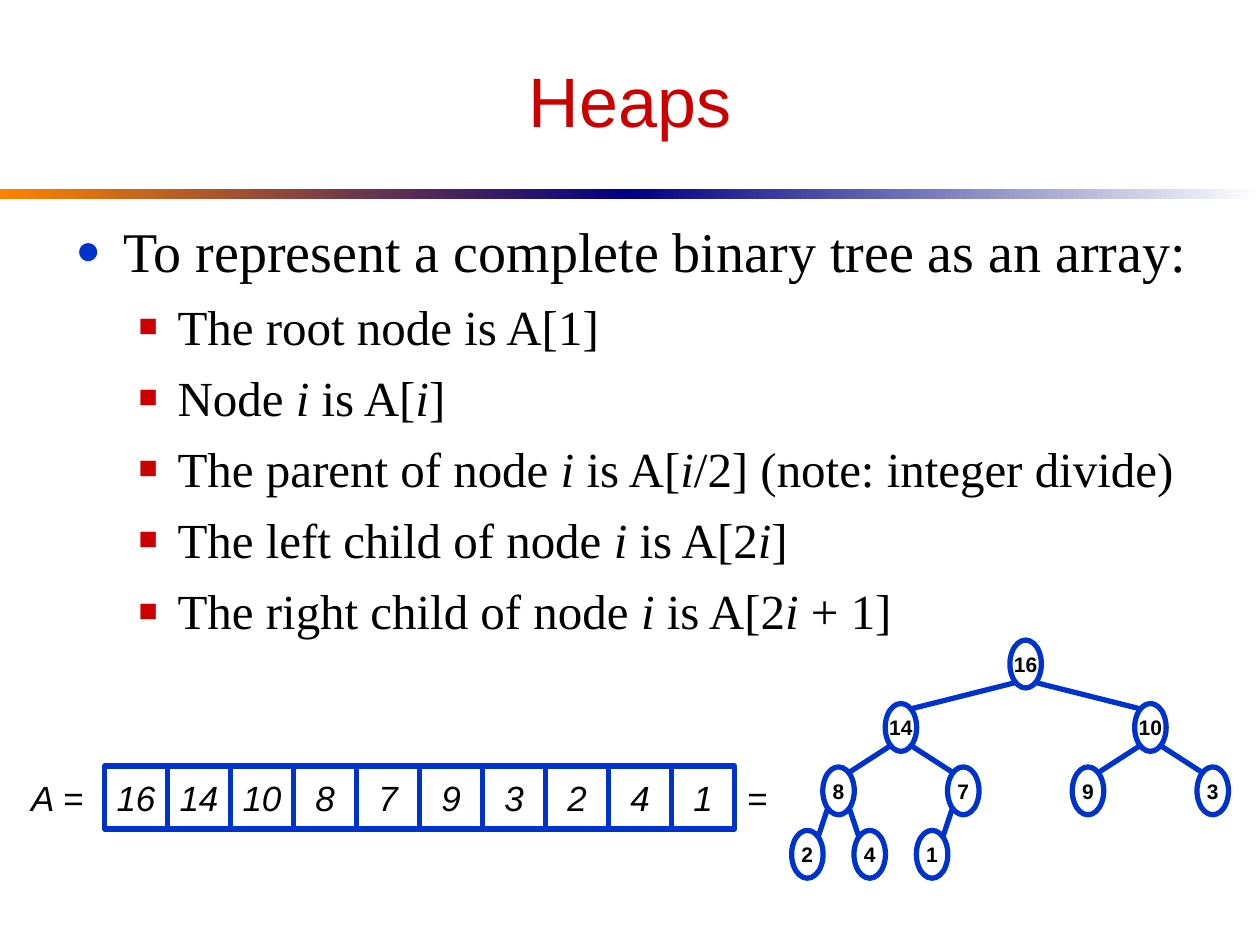
from dataclasses import dataclass
from typing import Any

from lxml.etree import SubElement
from pptx import Presentation
from pptx.dml.color import RGBColor
from pptx.enum.shapes import MSO_CONNECTOR as Connector, MSO_SHAPE as Preset
from pptx.enum.text import MSO_ANCHOR as Anchor, PP_ALIGN as Align
from pptx.oxml.ns import qn
from pptx.util import Inches, Pt

BLUE = RGBColor(0x00, 0x33, 0xCC)
RED = RGBColor(0xCC, 0x00, 0x00)
BLACK = RGBColor(0x00, 0x00, 0x00)
WHITE = RGBColor(0xFF, 0xFF, 0xFF)
ORANGE = RGBColor(0xFF, 0x82, 0x00)
NAVY = RGBColor(0x00, 0x00, 0x82)

HEAP = [16, 14, 10, 8, 7, 9, 3, 2, 4, 1]
RULES = [
    "The root node is A[1]",
    "Node *i* is A[*i*]",
    "The parent of node *i* is A[*i*/2] (note: integer divide)",
    "The left child of node *i* is A[2*i*]",
    "The right child of node *i* is A[2*i* + 1]",
]

CELL = 0.5
ARRAY_LEFT, ARRAY_TOP = 0.83, 6.08
TREE_LEFT, TREE_WIDTH = 6.16, 3.96
ROOT_Y, LEVEL_GAP = 5.27, 1.51 / 3
NODE_WIDTH, NODE_HEIGHT = 0.25, 0.38
EDGE_DX, EDGE_DY = 0.09, 0.15


def write(paragraph, text, font="Arial", size=20, color=BLACK,
          bold=False, italic=False, align=None):
    """Fill the paragraph; parts between asterisks turn italic."""
    paragraph.alignment = align
    for index, part in enumerate(text.split("*")):
        if not part:
            continue
        run = paragraph.add_run()
        run.text = part
        run.font.name, run.font.size = font, Pt(size)
        run.font.bold, run.font.italic = bold, italic or index % 2 == 1
        run.font.color.rgb = color


def set_bullet(paragraph, char, color, percent, indent, hanging):
    properties = paragraph._p.get_or_add_pPr()
    properties.set("marL", str(Inches(indent)))
    properties.set("indent", str(-Inches(hanging)))
    bullet_color = SubElement(properties, qn("a:buClr"))
    SubElement(bullet_color, qn("a:srgbClr"), val=str(color))
    SubElement(properties, qn("a:buSzPct"), val=str(percent * 1000))
    SubElement(properties, qn("a:buFont"), typeface="Arial")
    SubElement(properties, qn("a:buChar"), char=char)


def place(shape, left, top, width, height):
    shape.left, shape.top = Inches(left), Inches(top)
    shape.width, shape.height = Inches(width), Inches(height)


@dataclass
class SlideBuilder:
    slide: Any
    accent: RGBColor = BLUE
    line_width: float = 3

    def gradient_bar(self, left, start, end):
        bar = self.slide.shapes.add_shape(
            Preset.RECTANGLE, Inches(left), Inches(1.5), Inches(5), Inches(0.08))
        bar.shadow.inherit = False
        bar.line.fill.background()
        bar.fill.gradient()
        bar.fill.gradient_angle = 0
        for stop, color in zip(bar.fill.gradient_stops, (start, end)):
            stop.color.rgb = color

    def title(self, text):
        title = self.slide.shapes.title
        place(title, 0.5, 0.25, 9, 1.08)
        title.text_frame.vertical_anchor = Anchor.MIDDLE
        write(title.text_frame.paragraphs[0], text, size=40, color=RED,
              align=Align.CENTER)

    def outline(self, heading, items):
        body = self.slide.placeholders[1]
        place(body, 0.5, 1.67, 9.08, 4.75)
        frame = body.text_frame
        first = frame.paragraphs[0]
        first.space_before = Pt(8)
        write(first, heading, font="Times New Roman", size=32)
        set_bullet(first, "●", BLUE, 75, 0.38, 0.38)
        for item in items:
            paragraph = frame.add_paragraph()
            paragraph.level = 1
            paragraph.space_before = Pt(7)
            write(paragraph, item, font="Times New Roman", size=28)
            set_bullet(paragraph, "■", RED, 65, 0.81, 0.31)

    def box(self, preset, text, left, top, width, height, **style):
        box = self.slide.shapes.add_shape(
            preset, Inches(left), Inches(top), Inches(width), Inches(height))
        box.shadow.inherit = False
        box.fill.solid()
        box.fill.fore_color.rgb = WHITE
        box.line.color.rgb = self.accent
        box.line.width = Pt(self.line_width)
        self.centre_text(box, text, **style)

    def label(self, text, left, top, width, height, **style):
        label = self.slide.shapes.add_textbox(
            Inches(left), Inches(top), Inches(width), Inches(height))
        self.centre_text(label, text, **style)

    def centre_text(self, shape, text, **style):
        frame = shape.text_frame
        frame.word_wrap = False
        frame.vertical_anchor = Anchor.MIDDLE
        write(frame.paragraphs[0], text, align=Align.CENTER, **style)

    def edge(self, x1, y1, x2, y2):
        edge = self.slide.shapes.add_connector(
            Connector.STRAIGHT, Inches(x1), Inches(y1), Inches(x2), Inches(y2))
        edge.line.color.rgb = self.accent
        edge.line.width = Pt(self.line_width)
        SubElement(edge._element.spPr, qn("a:effectLst"))

    def tree(self, values):
        centres = [node_centre(number) for number in range(1, len(values) + 1)]
        for value, (x, y) in zip(values, centres):
            self.box(Preset.OVAL, str(value), x - NODE_WIDTH / 2, y - NODE_HEIGHT / 2,
                     NODE_WIDTH, NODE_HEIGHT, size=12, bold=True)
        for child in range(2, len(values) + 1):
            parent_x, parent_y = centres[child // 2 - 1]
            child_x, child_y = centres[child - 1]
            dx = EDGE_DX if child % 2 else -EDGE_DX
            self.edge(parent_x + dx, parent_y + EDGE_DY,
                      child_x - dx, child_y - EDGE_DY)

    def array(self, values):
        for index, value in enumerate(values):
            self.box(Preset.RECTANGLE, str(value), ARRAY_LEFT + index * CELL,
                     ARRAY_TOP, CELL, CELL, italic=True)
        self.label("A =", 0.08, ARRAY_TOP, 0.75, CELL, italic=True)
        self.label("=", ARRAY_LEFT + len(values) * CELL, ARRAY_TOP, 0.33, CELL,
                   italic=True)


def node_centre(number):
    """Centre of the node with this 1-based heap index."""
    depth = number.bit_length() - 1
    row_size = 2 ** depth
    x = TREE_LEFT + TREE_WIDTH * (number - row_size + 0.5) / row_size
    return x, ROOT_Y + depth * LEVEL_GAP


def main():
    deck = Presentation()
    deck.slide_width, deck.slide_height = Inches(10), Inches(7.5)
    builder = SlideBuilder(deck.slides.add_slide(deck.slide_layouts[1]))
    builder.gradient_bar(0, ORANGE, NAVY)
    builder.gradient_bar(5, NAVY, WHITE)
    builder.title("Heaps")
    builder.outline("To represent a complete binary tree as an array:", RULES)
    builder.tree(HEAP)
    builder.array(HEAP)
    deck.save("out.pptx")


if __name__ == "__main__":
    main()
